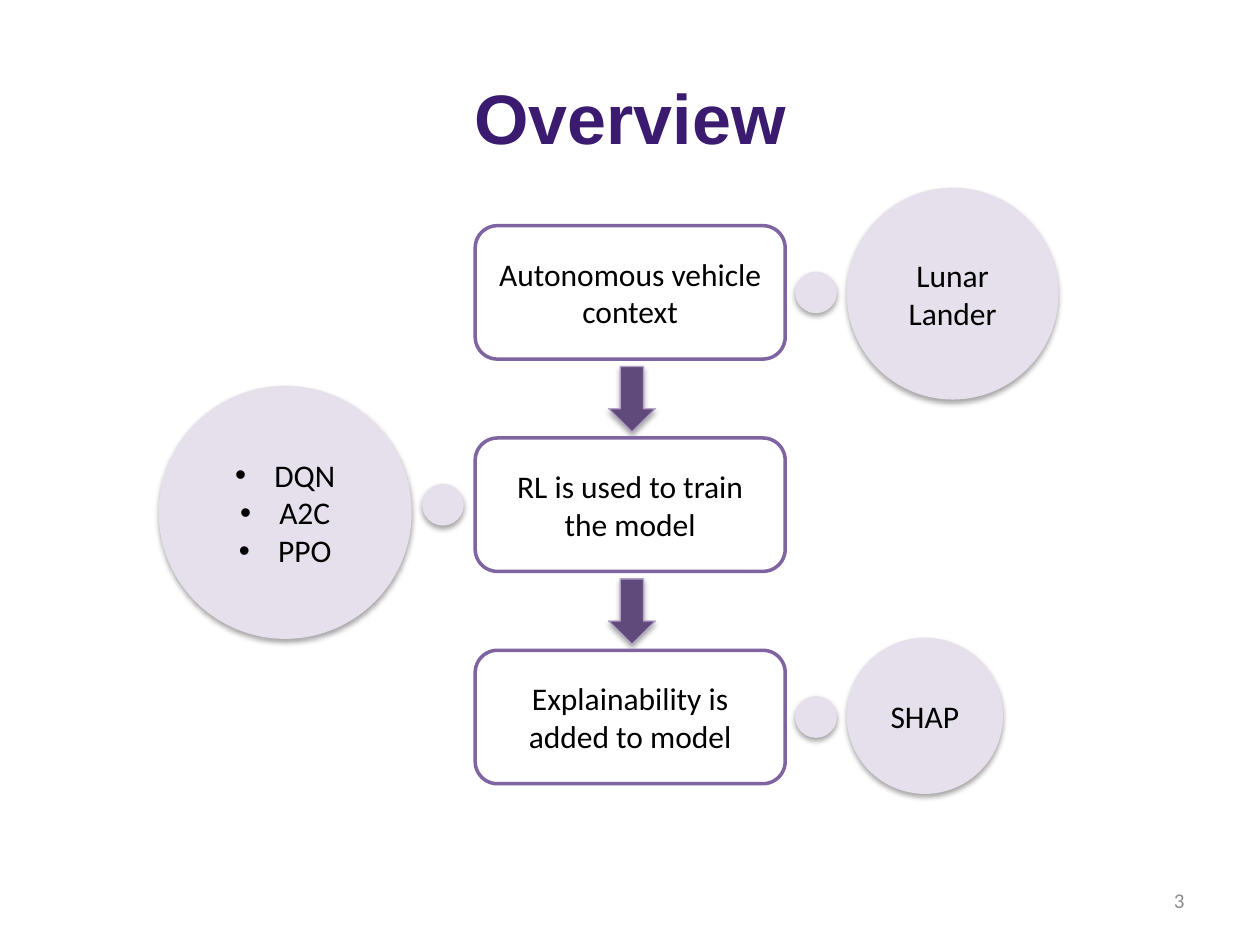
from lxml import etree
from pptx import Presentation
from pptx import util as u
from pptx.dml.color import RGBColor
from pptx.enum import shapes, text
from pptx.oxml.ns import qn

Cm, Pt = u.Cm, u.Pt
Kind = shapes.MSO_SHAPE
CENTER, RIGHT = text.PP_ALIGN.CENTER, text.PP_ALIGN.RIGHT

# Flow layout, in centimetres
STEPS = ["Autonomous vehicle context", "RL is used to train the model",
         "Explainability is added to model"]
STEP_LEFT, STEP_TOP, STEP_WIDTH, STEP_HEIGHT, PITCH = 9.58, 4.55, 6.25, 2.69, 4.28
ARROW_LEFT, ARROW_WIDTH, ARROW_HEIGHT, ARROW_GAP = 12.27, 0.94, 1.32, 0.15
DOT_SIZE = 0.84

# Step index, dot left, circle left, circle centre height, diameter, lines
NOTES = [
    (0, 16.03, 17.07, 5.92, 4.27, ["Lunar Lander"]),
    (1, 8.51, 3.2, 10.33, 5.1, ["DQN", "A2C", "PPO"]),
    (2, 16.03, 17.07, 14.43, 3.15, ["SHAP"]),
]


def color(value):
    return RGBColor.from_string(value)


def add_bullet(para):
    properties = para._p.get_or_add_pPr()
    properties.set("marL", str(Cm(0.79)))
    properties.set("indent", str(-Cm(0.79)))
    etree.SubElement(properties, qn("a:buFont"), typeface="Arial")
    etree.SubElement(properties, qn("a:buChar"), char="•")


def write(shape, lines, size=18, font="Calibri", ink="000000", bold=False,
          align=CENTER):
    frame = shape.text_frame
    frame.word_wrap = True
    frame.vertical_anchor = text.MSO_ANCHOR.MIDDLE
    frame.text = "\n".join(lines)
    for para in frame.paragraphs:
        para.alignment = align
        if len(lines) > 1:
            add_bullet(para)
        for span in para.runs:
            span.font.name, span.font.size, span.font.bold = font, Pt(size), bold
            span.font.color.rgb = color(ink)


def add_label(page, left, top, width, height, words, **style):
    box = page.shapes.add_textbox(Cm(left), Cm(top), Cm(width), Cm(height))
    write(box, [words], **style)


def add_shadow(shape):
    effects = shape._element.spPr.find(qn("a:effectLst"))
    shadow = etree.SubElement(effects, qn("a:outerShdw"), blurRad=str(Pt(3.1)),
                              dist=str(Pt(1.8)), dir="5400000", rotWithShape="0")
    black = etree.SubElement(shadow, qn("a:srgbClr"), val="000000")
    etree.SubElement(black, qn("a:alpha"), val="35000")


def add_figure(page, kind, left, top, width, height, fill, line=None,
               weight=1, shadow=True):
    shape = page.shapes.add_shape(kind, Cm(left), Cm(top), Cm(width), Cm(height))
    shape.fill.solid()
    shape.fill.fore_color.rgb = color(fill)
    if line:
        shape.line.color.rgb = color(line)
        shape.line.width = Pt(weight)
    else:
        shape.line.fill.background()
    shape.shadow.inherit = False
    if shadow:
        add_shadow(shape)
    return shape


def add_circle(page, left, middle, size):
    return add_figure(page, Kind.OVAL, left, middle - size / 2, size, size, "E6E0EC")


def main():
    deck = Presentation()
    deck.slide_width, deck.slide_height = Cm(25.4), Cm(19.05)
    page = deck.slides.add_slide(deck.slide_layouts[6])

    # Title and page number
    add_label(page, 1.27, 0.76, 22.86, 3.18, "Overview", size=40, font="Arial",
              ink="3B1B70", bold=True)
    add_label(page, 18.2, 17.65, 5.93, 1.01, "3", size=12, ink="8C8C8C", align=RIGHT)

    # Steps, with an arrow below each one but the last
    for index, words in enumerate(STEPS):
        top = STEP_TOP + index * PITCH
        step = add_figure(page, Kind.ROUNDED_RECTANGLE, STEP_LEFT, top, STEP_WIDTH,
                          STEP_HEIGHT, "FFFFFF", "8064A2", 2, shadow=False)
        write(step, [words])
        if index < len(STEPS) - 1:
            add_figure(page, Kind.DOWN_ARROW, ARROW_LEFT, top + STEP_HEIGHT + ARROW_GAP,
                       ARROW_WIDTH, ARROW_HEIGHT, "604A7B", "B3A2C7", 0.75)

    # Side notes, each tied to its step by a dot
    for index, dot_left, left, middle, size, lines in NOTES:
        step_middle = STEP_TOP + index * PITCH + STEP_HEIGHT / 2
        add_circle(page, dot_left, step_middle, DOT_SIZE)
        write(add_circle(page, left, middle, size), lines)

    deck.save("out.pptx")


if __name__ == "__main__":
    main()
